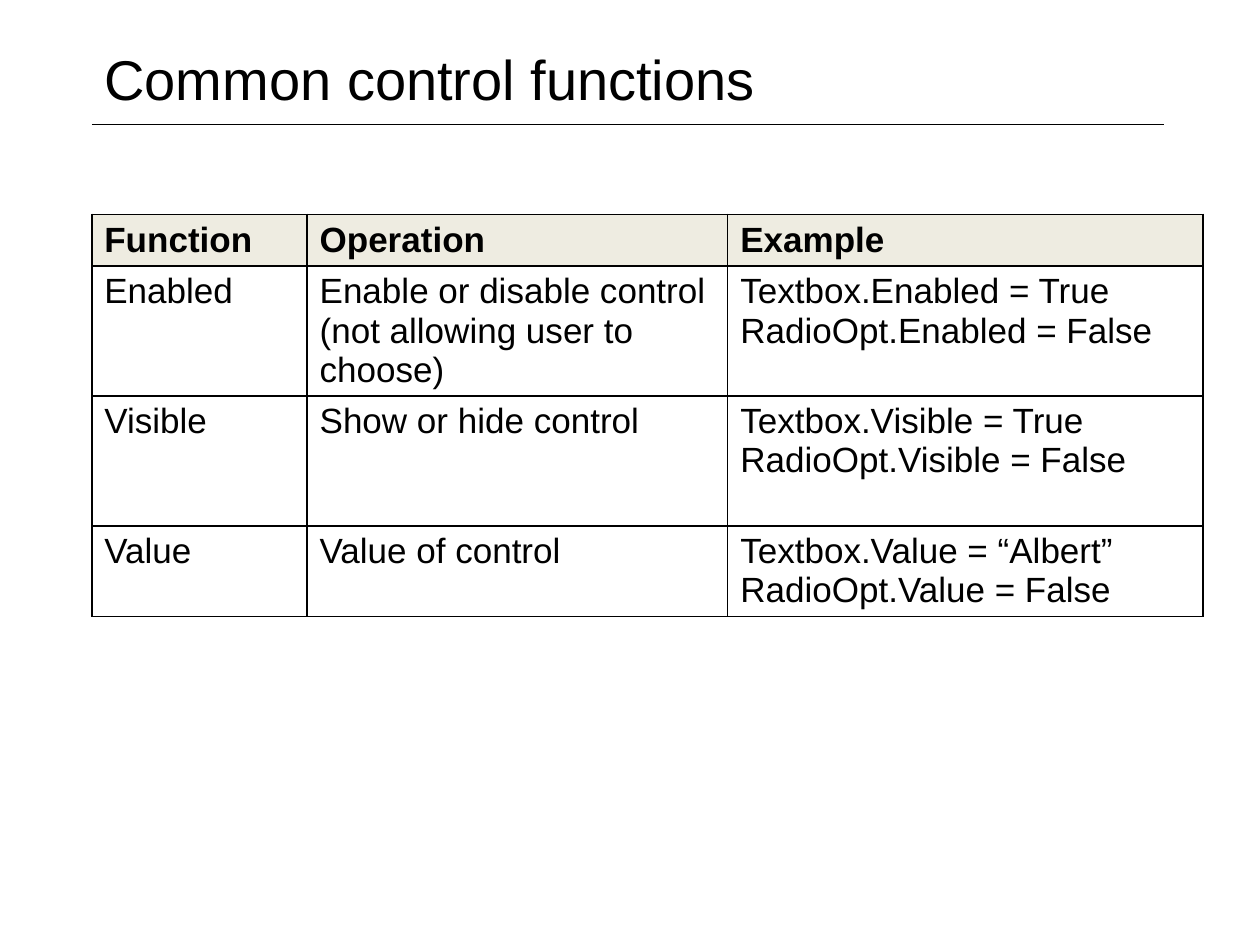
from lxml.etree import SubElement
from pptx import Presentation
from pptx.dml.color import RGBColor
from pptx.enum.shapes import MSO_CONNECTOR
from pptx.enum.text import MSO_ANCHOR, MSO_AUTO_SIZE, PP_ALIGN
from pptx.oxml.ns import qn
from pptx.util import Cm, Pt

BLACK = RGBColor(0x00, 0x00, 0x00)
HEADER = RGBColor(0xEE, 0xEC, 0xE1)
LEFT = Cm(1.85)


def add_text(p, text, size, bold=False):
    p.alignment = PP_ALIGN.LEFT
    r = p.add_run()
    r.text = text
    r.font.name = "Arial"
    r.font.size = Pt(size)
    r.font.bold = bold
    r.font.color.rgb = BLACK


def add_borders(cell):
    tc_pr = cell._tc.get_or_add_tcPr()
    for i, side in enumerate(("a:lnL", "a:lnR", "a:lnT", "a:lnB")):
        ln = tc_pr.makeelement(qn(side), {"w": str(Pt(1))})
        fill = SubElement(ln, qn("a:solidFill"))
        SubElement(fill, qn("a:srgbClr"), val=str(BLACK))
        tc_pr.insert(i, ln)


prs = Presentation()
prs.slide_width, prs.slide_height = Cm(25.4), Cm(19.05)
s = prs.slides.add_slide(prs.slide_layouts[5])

rule = s.shapes.add_connector(MSO_CONNECTOR.STRAIGHT, LEFT, Cm(2.51), Cm(23.47), Cm(2.51))
rule.line.color.rgb = BLACK
rule.line.width = Pt(0.25)
SubElement(rule._element.spPr, qn("a:effectLst"))

title = s.shapes.title
title.left, title.top, title.width, title.height = LEFT, Cm(0.74), Cm(17.25), Cm(1.68)
tf = title.text_frame
tf.word_wrap = True
tf.auto_size = MSO_AUTO_SIZE.NONE
tf.vertical_anchor = MSO_ANCHOR.MIDDLE
add_text(tf.paragraphs[0], "Common control functions", 32)

rows = [
    (["Function"], ["Operation"], ["Example"]),
    (["Enabled"], ["Enable or disable control (not allowing user to choose)"],
     ["Textbox.Enabled = True", "RadioOpt.Enabled = False"]),
    (["Visible"], ["Show or hide control"],
     ["Textbox.Visible = True", "RadioOpt.Visible = False"]),
    (["Value"], ["Value of control"],
     ["Textbox.Value = “Albert”", "RadioOpt.Value = False"]),
]
widths = [Cm(4.34), Cm(8.48), Cm(9.58)]
heights = [Cm(1.04), Cm(2.62), Cm(2.62), Cm(1.83)]

table = s.shapes.add_table(len(rows), len(widths), LEFT, Cm(4.32), sum(widths), sum(heights)).table
table.horz_banding = False
for col, width in zip(table.columns, widths):
    col.width = width
for row, height in zip(table.rows, heights):
    row.height = height

for i, row in enumerate(rows):
    for j, lines in enumerate(row):
        cell = table.cell(i, j)
        if i == 0:
            cell.fill.solid()
            cell.fill.fore_color.rgb = HEADER
        else:
            cell.fill.background()
        add_borders(cell)
        tf = cell.text_frame
        for n, line in enumerate(lines):
            p = tf.add_paragraph() if n else tf.paragraphs[0]
            add_text(p, line, 20, bold=i == 0)

prs.save("out.pptx")
